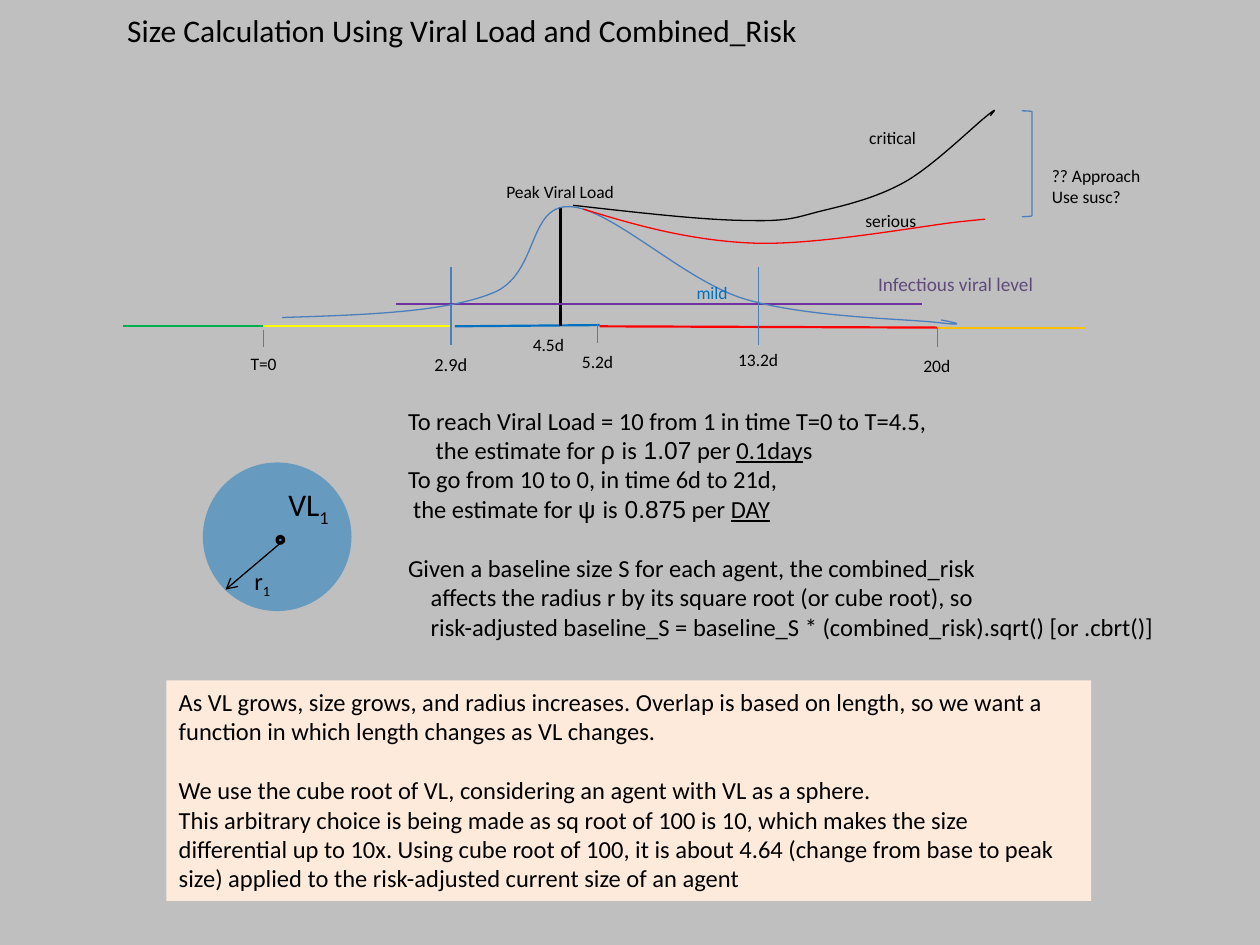
"""Build a slide that explains agent size from viral load and combined risk."""
from dataclasses import dataclass
from typing import NamedTuple

from lxml.etree import SubElement
from pptx import Presentation
from pptx.dml.color import RGBColor
from pptx.enum.shapes import MSO_CONNECTOR, MSO_SHAPE
from pptx.enum.text import MSO_ANCHOR, MSO_AUTO_SIZE, PP_ALIGN
from pptx.oxml.ns import qn
from pptx.util import Pt

PX = 9144
BLACK = RGBColor(0x00, 0x00, 0x00)
GRAY = RGBColor(0xBF, 0xBF, 0xBF)
BLUE = RGBColor(0x00, 0x70, 0xC0)
STEEL = RGBColor(0x4B, 0x7E, 0xBC)
DOT_BLUE = RGBColor(0x4F, 0x81, 0xBD)
GREEN = RGBColor(0x00, 0xB0, 0x50)
YELLOW = RGBColor(0xFF, 0xFF, 0x00)
RED = RGBColor(0xFF, 0x00, 0x00)
ORANGE = RGBColor(0xFF, 0xC0, 0x00)
PURPLE = RGBColor(0x70, 0x30, 0xA0)
VIOLET = RGBColor(0x60, 0x4A, 0x7B)
PEACH = RGBColor(0xFD, 0xEA, 0xDA)


class Span(NamedTuple):
    text: str
    font: str = "Calibri"
    underline: bool = False
    baseline: int = 0


class Para(NamedTuple):
    spans: tuple
    indent: int = 0
    before: int = 0


class Box(NamedTuple):
    left: int
    top: int
    width: int
    height: int


@dataclass
class Label:
    box: Box
    paras: tuple
    size: float = 10
    color: RGBColor = BLACK


@dataclass
class Segment:
    start: tuple
    end: tuple
    color: RGBColor = STEEL
    width: float = 0.75
    arrow: bool = False


@dataclass
class Curve:
    box: Box
    color: RGBColor
    points: tuple


def line(text: str, indent: int = 0, before: int = 0) -> Para:
    """Make a paragraph of one plain span."""
    return Para((Span(text),), indent, before)


def subscripted(text: str, index: str) -> Para:
    """Make a symbol followed by a subscript."""
    return Para((Span(text), Span(index, baseline=-25000)))


def estimate(symbol: str, value: str, unit: str, rest: str, indent: int) -> Para:
    """Make a line that states an estimated rate."""
    return Para((Span("the estimate for "), Span(f"{symbol} ", "Arial"), Span("is"),
                 Span(f" {value}", "Arial"), Span(" per "),
                 Span(unit, underline=True), Span(rest)), indent)


LABELS = (
    Label(Box(192, 444, 34, 34), (subscripted("r", "1"),), 14),
    Label(Box(219, 380, 54, 40), (subscripted("VL", "1"),), 18),
    Label(Box(314, 317, 617, 199), (
        line("To reach Viral Load = 10 from 1 in time T=0 to T=4.5,"),
        estimate("ρ", "1.07", "0.1day", "s", 22),
        line("To go from 10 to 0, in time 6d to 21d,"),
        estimate("ψ", "0.875", "DAY", "", 4),
        line("Given a baseline size S for each agent, the combined_risk", before=17),
        line("affects the radius r by its square root (or cube root), so", 18),
        line("risk-adjusted baseline_S = baseline_S * (combined_risk).sqrt() [or .cbrt()]", 18),
    ), 14),
    Label(Box(189, 275, 41, 27), (line("T=0"),)),
    Label(Box(335, 275, 47, 28), (line("2.9d"),), 10.5),
    Label(Box(452, 274, 45, 27), (line("5.2d"),)),
    Label(Box(392, 139, 107, 27), (line("Peak Viral Load"),)),
    Label(Box(413, 260, 45, 27), (line("4.5d"),)),
    Label(Box(543, 219, 45, 27), (line("mild"),), color=BLUE),
    Label(Box(680, 96, 58, 27), (line("critical"),)),
    Label(Box(677, 162, 61, 27), (line("serious"),)),
    Label(Box(723, 277, 42, 27), (line("20d"),)),
    Label(Box(825, 126, 91, 44), (line("?? Approach"), line("Use susc?"))),
    Label(Box(687, 211, 145, 29), (line("Infectious viral level"),), 11, VIOLET),
    Label(Box(576, 272, 53, 27), (line("13.2d"),)),
)
SIZE_NOTE = (
    line("As VL grows, size grows, and radius increases. Overlap is based on length, "
         "so we want a function in which length changes as VL changes."),
    line("We use the cube root of VL, considering an agent with VL as a sphere.", before=17),
    line("This arbitrary choice is being made as sq root of 100 is 10, which makes the size "
         "differential up to 10x. Using cube root of 100, it is about 4.64 (change from base "
         "to peak size) applied to the risk-adjusted current size of an agent"),
)
SEGMENTS = (
    Segment((225, 429), (179, 468), BLACK, arrow=True),
    Segment((98, 259), (209, 259), GREEN, 1.25),
    Segment((209, 259), (358, 259), YELLOW, 1.25),
    Segment((361, 259), (476, 258), BLUE, 1.25),
    Segment((476, 259), (744, 260), RED, 1.25),
    Segment((744, 260), (862, 260), ORANGE, 1.25),
    Segment((445, 164), (445, 259), BLACK, 1.5),
    *(Segment((x, top), (x, bottom)) for x, top, bottom in (
        (744, 260, 275), (474, 257, 272), (358, 212, 274), (209, 262, 275))),
    Segment((314, 241), (732, 241), PURPLE, 1.25),
    Segment((602, 212), (602, 274)),
)
CURVES = (
    Curve(Box(224, 164, 536, 93), STEEL, (
        (224, 252), (288, 250), (352, 248), (390, 233), (428, 219), (418, 163),
        (452, 164), (485, 165), (542, 222), (590, 237), (639, 252), (718, 253),
        (744, 256), (770, 259), (758, 256), (747, 254))),
    Curve(Box(463, 166, 319, 27), RED, (
        (463, 166), (505, 179), (548, 191), (598, 193), (648, 195), (733, 179),
        (762, 176), (791, 173), (782, 174), (772, 175))),
    Curve(Box(455, 88, 334, 87), BLACK, (
        (455, 163), (508, 169), (561, 175), (594, 175), (628, 176), (633, 172),
        (654, 167), (675, 162), (698, 156), (719, 144), (740, 132), (771, 102),
        (782, 93), (793, 84), (789, 88), (786, 92))),
)


def place(shape, box: Box) -> None:
    """Move and size a shape."""
    shape.left, shape.top, shape.width, shape.height = (side * PX for side in box)


def write_text(shape, paras: tuple, *, size: float, color: RGBColor = BLACK,
               wrap: bool = False) -> None:
    """Fill a shape with left-aligned formatted paragraphs."""
    frame = shape.text_frame
    frame.word_wrap = wrap
    frame.auto_size = MSO_AUTO_SIZE.SHAPE_TO_FIT_TEXT
    frame.vertical_anchor = MSO_ANCHOR.TOP
    for number, para in enumerate(paras):
        paragraph = frame.add_paragraph() if number else frame.paragraphs[0]
        paragraph.alignment = PP_ALIGN.LEFT
        paragraph.space_before = Pt(para.before)
        if para.indent:
            paragraph._p.get_or_add_pPr().set("marL", str(para.indent * PX))
        for span in filter(lambda part: part.text, para.spans):
            run = paragraph.add_run()
            run.text = span.text
            run.font.name, run.font.size = span.font, Pt(size)
            run.font.color.rgb = color
            if span.underline:
                run.font.underline = True
            if span.baseline:
                run.font._element.set("baseline", str(span.baseline))


def outline(shape, color: RGBColor, width: float) -> None:
    """Give a shape a solid outline."""
    shape.line.color.rgb = color
    shape.line.width = Pt(width)


def draw_shape(slide, kind: MSO_SHAPE, box: Box, fill: RGBColor | None = None):
    """Add a preset shape without shadow or outline."""
    shape = slide.shapes.add_shape(kind, *(side * PX for side in box))
    shape.shadow.inherit = False
    shape.line.fill.background()
    if fill is None:
        shape.fill.background()
    else:
        shape.fill.solid()
        shape.fill.fore_color.rgb = fill
    return shape


def draw_segment(slide, segment: Segment) -> None:
    """Add a straight line, with an arrowhead when asked."""
    ends = (value * PX for value in (*segment.start, *segment.end))
    connector = slide.shapes.add_connector(MSO_CONNECTOR.STRAIGHT, *ends)
    outline(connector, segment.color, segment.width)
    if segment.arrow:
        SubElement(connector.line._get_or_add_ln(), qn("a:tailEnd"), type="arrow")
    SubElement(connector._element.spPr, qn("a:effectLst"))


def draw_curve(slide, curve: Curve) -> None:
    """Add an open outline through a chain of cubic curves."""
    left, top, width, height = curve.box
    builder = slide.shapes.build_freeform(left, top, scale=PX)
    builder.add_line_segments([(left + width, top + height)], close=False)
    shape = builder.convert_to_shape()
    shape.shadow.inherit = False
    shape.fill.background()
    outline(shape, curve.color, 0.75)
    strokes = shape._element.find(f".//{qn('a:path')}")
    for child in list(strokes):
        strokes.remove(child)
    for index, (x, y) in enumerate(curve.points):
        if index % 3 == 1 or index == 0:
            stroke = SubElement(strokes, qn("a:cubicBezTo" if index else "a:moveTo"))
        SubElement(stroke, qn("a:pt"), x=str(x - left), y=str(y - top))


def main() -> None:
    """Build and save the slide."""
    deck = Presentation()
    deck.slide_width, deck.slide_height = 1000 * PX, 750 * PX
    slide = deck.slides.add_slide(deck.slide_layouts[5])
    slide.background.fill.solid()
    slide.background.fill.fore_color.rgb = GRAY
    title = slide.shapes.title
    place(title, Box(91, 4, 558, 40))
    write_text(title, (line("Size Calculation Using Viral Load and Combined_Risk"),), size=18)

    agent = draw_shape(slide, MSO_SHAPE.OVAL, Box(161, 367, 118, 118), BLUE)
    SubElement(agent.fill._xPr.find(f".//{qn('a:srgbClr')}"), qn("a:alpha"), val="46000")
    center = draw_shape(slide, MSO_SHAPE.OVAL, Box(220, 426, 5, 5), DOT_BLUE)
    outline(center, BLACK, 2)
    size_note = draw_shape(slide, MSO_SHAPE.RECTANGLE, Box(132, 540, 734, 175), PEACH)
    write_text(size_note, SIZE_NOTE, size=14, wrap=True)
    approach = draw_shape(slide, MSO_SHAPE.RIGHT_BRACKET, Box(811, 88, 8, 84))
    outline(approach, STEEL, 0.75)

    for segment in SEGMENTS:
        draw_segment(slide, segment)
    for curve in CURVES:
        draw_curve(slide, curve)
    for label in LABELS:
        caption = slide.shapes.add_textbox(*(side * PX for side in label.box))
        write_text(caption, label.paras, size=label.size, color=label.color)
    deck.save("out.pptx")


if __name__ == "__main__":
    main()
